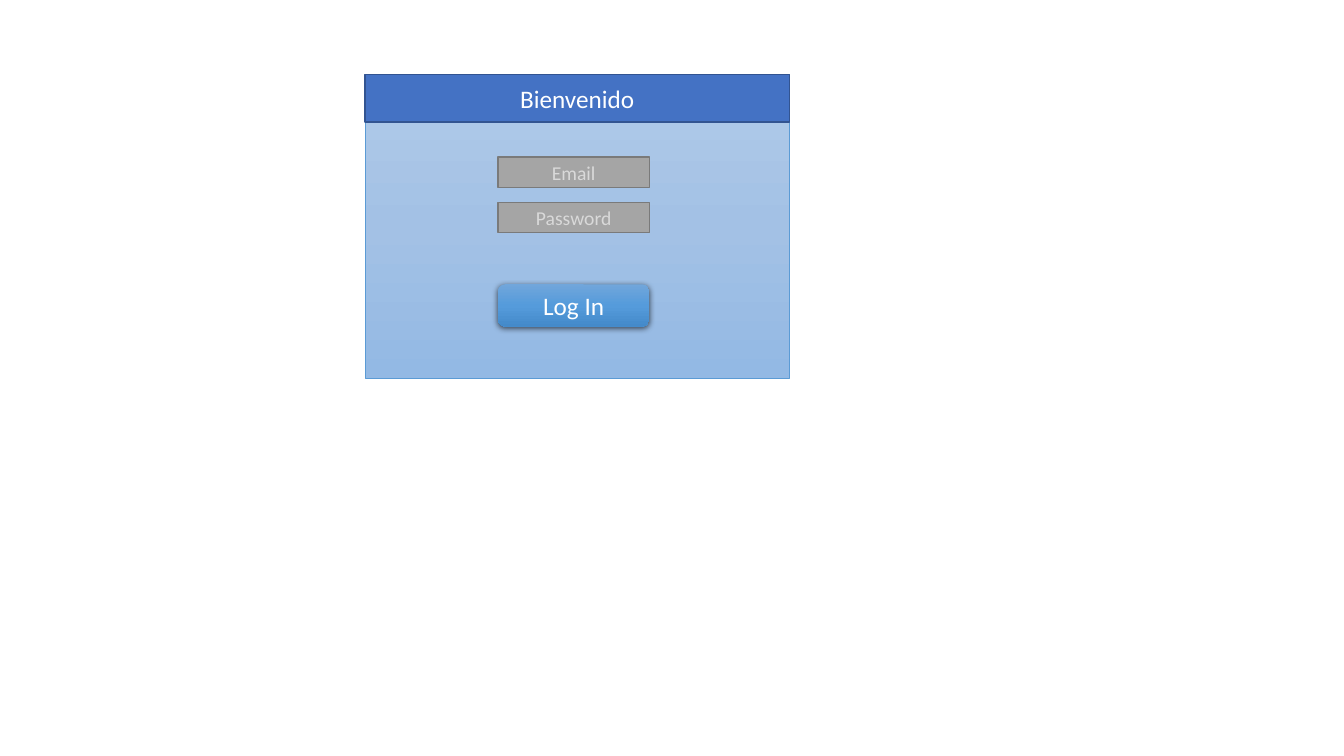
from dataclasses import dataclass

from lxml import etree
from pptx import Presentation
from pptx.dml.color import RGBColor
from pptx.enum import shapes, text
from pptx.oxml import ns
from pptx.util import Inches, Pt


@dataclass(frozen=True)
class Theme:
    font: str = "Calibri"
    large: int = 18
    small: int = 14
    white: str = "FFFFFF"
    hint: str = "D9D9D9"
    header: str = "4472C4"
    header_line: str = "325491"
    field: str = "A5A5A5"
    field_line: str = "7A7A7A"
    panel: tuple = ("B1CBE9", "A3C1E5", "93B9E4")
    panel_line: str = "5B9BD5"
    button: tuple = ("71A6DB", "559BDB", "448ACA")
    shadow: str = "000000"


THEME = Theme()


def add_element(parent, tag, **attributes):
    values = {name: str(value) for name, value in attributes.items()}
    return etree.SubElement(parent, ns.qn(tag), values)


def fill_gradient(shape, colors):
    shape.fill.gradient()
    shape.fill.gradient_angle = 270
    stops = shape._element.spPr.find(".//" + ns.qn("a:gsLst"))
    for stop in list(stops):
        stops.remove(stop)
    for index, color in enumerate(colors):
        position = 100000 * index // (len(colors) - 1)
        stop = add_element(stops, "a:gs", pos=position)
        add_element(stop, "a:srgbClr", val=color)


def add_shadow(shape, color, opacity, blur, distance):
    effects = shape._element.spPr.find(ns.qn("a:effectLst"))
    shadow = add_element(effects, "a:outerShdw", blurRad=Pt(blur), dist=Pt(distance),
                         dir=90 * 60000, algn="ctr", rotWithShape=0)
    shadow_color = add_element(shadow, "a:srgbClr", val=color)
    add_element(shadow_color, "a:alpha", val=opacity * 1000)


def add_box(slide, box, fill, line=None, width=1, kind=shapes.MSO_SHAPE.RECTANGLE):
    shape = slide.shapes.add_shape(kind, *map(Inches, box))
    shape.shadow.inherit = False
    if isinstance(fill, tuple):
        fill_gradient(shape, fill)
    else:
        shape.fill.solid()
        shape.fill.fore_color.rgb = RGBColor.from_string(fill)
    if line:
        shape.line.color.rgb = RGBColor.from_string(line)
        shape.line.width = Pt(width)
    else:
        shape.line.fill.background()
    return shape


def write_text(shape, content, size=THEME.large, color=THEME.white):
    frame = shape.text_frame
    frame.word_wrap = True
    frame.vertical_anchor = text.MSO_ANCHOR.MIDDLE
    paragraph = frame.paragraphs[0]
    paragraph.alignment = text.PP_ALIGN.CENTER
    run = paragraph.add_run()
    run.text = content
    run.font.name = THEME.font
    run.font.size = Pt(size)
    run.font.color.rgb = RGBColor.from_string(color)


def add_header(slide, box):
    header = add_box(slide, box, THEME.header, THEME.header_line)
    write_text(header, "Bienvenido")


def add_fields(slide, box, labels, pitch=0.45):
    left, top, width, height = box
    for index, label in enumerate(labels):
        field = add_box(slide, (left, top + index * pitch, width, height),
                        THEME.field, THEME.field_line)
        write_text(field, label, size=THEME.small, color=THEME.hint)


def add_button(slide, box):
    button = add_box(slide, box, THEME.button, kind=shapes.MSO_SHAPE.ROUNDED_RECTANGLE)
    add_shadow(button, THEME.shadow, opacity=63, blur=4.5, distance=1.5)
    write_text(button, "Log In")


def add_login_panel(slide, box):
    left, top, width, height = box
    control_left, control_width = left + 1.32, 1.5
    add_box(slide, box, THEME.panel, THEME.panel_line, width=0.5)
    add_header(slide, (left, top, width, 0.47))
    add_fields(slide, (control_left, top + 0.82, control_width, 0.3), ("Email", "Password"))
    add_button(slide, (control_left, top + 2.08, control_width, 0.42))


def main():
    presentation = Presentation()
    presentation.slide_width = Inches(13.33)
    presentation.slide_height = Inches(7.5)
    slide = presentation.slides.add_slide(presentation.slide_layouts[6])
    add_login_panel(slide, (3.62, 0.74, 4.21, 3.01))
    presentation.save("out.pptx")


main()
